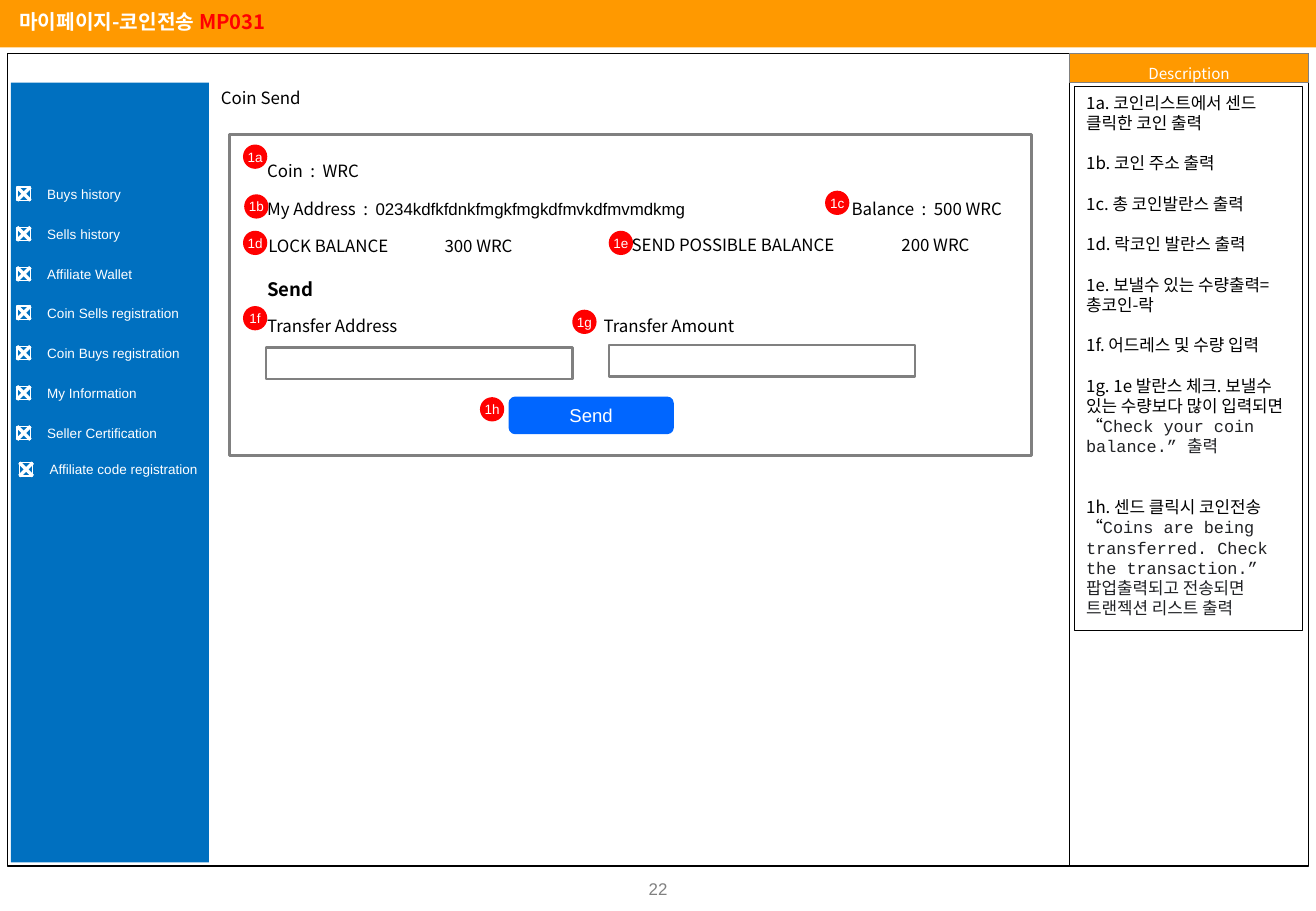
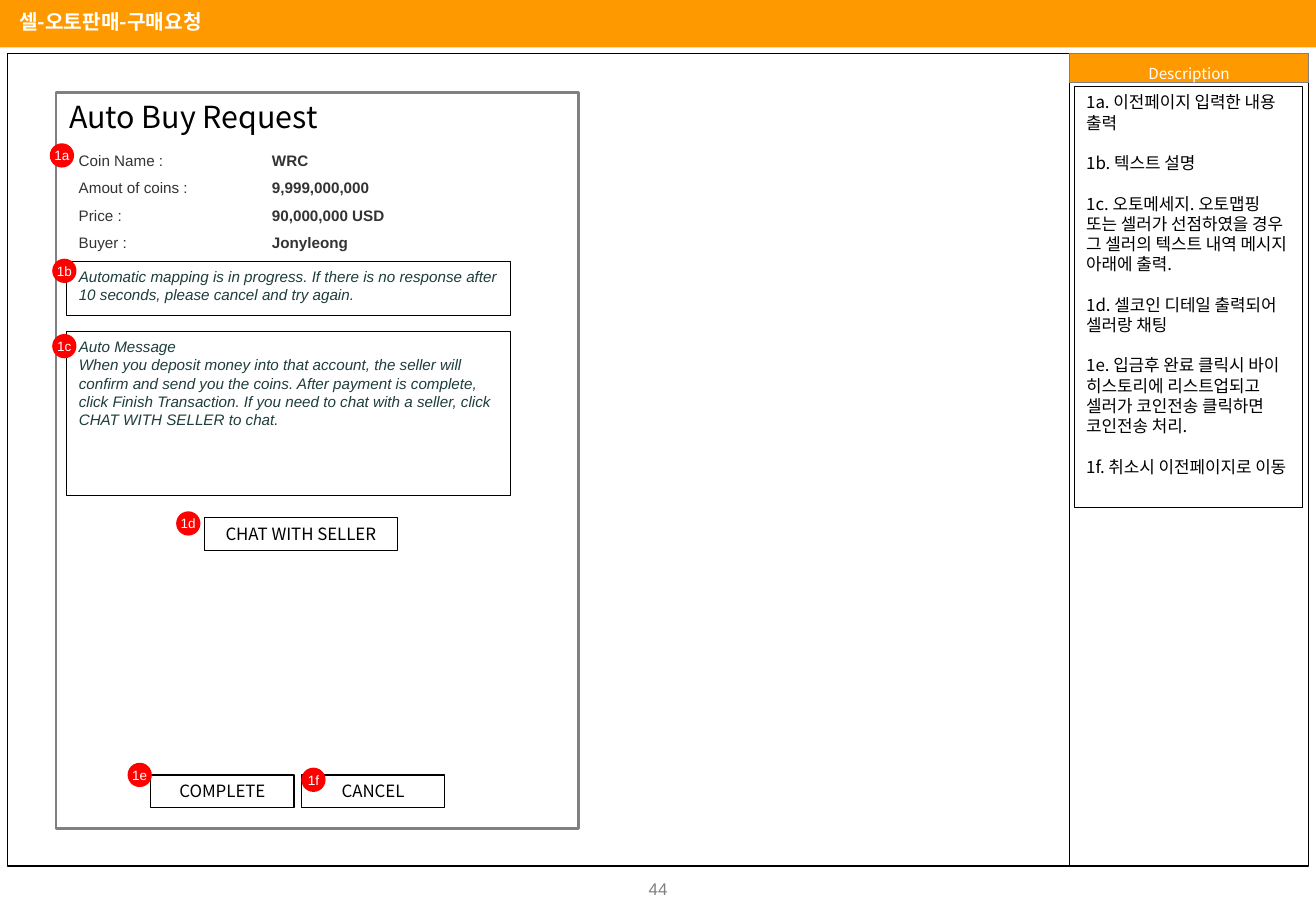
from collections import namedtuple

from lxml.etree import SubElement
from pptx import Presentation
from pptx.dml.color import RGBColor
from pptx.enum.shapes import MSO_CONNECTOR, MSO_SHAPE
from pptx.enum.text import MSO_ANCHOR, PP_ALIGN
from pptx.oxml.ns import qn
from pptx.util import Pt

PX = 9144  # EMU in one px, a hundredth of an inch
SLIDE_WIDTH, SLIDE_HEIGHT = 1083, 750

ORANGE = RGBColor(0xFF, 0x99, 0x00)
RED = RGBColor(0xFF, 0x00, 0x00)
MENU_BLUE = RGBColor(0x00, 0x70, 0xC0)
BUTTON_BLUE = RGBColor(0x00, 0x66, 0xFF)
WHITE = RGBColor(0xFF, 0xFF, 0xFF)
BLACK = RGBColor(0x00, 0x00, 0x00)
GRAY = RGBColor(0x80, 0x80, 0x80)
DARK_GRAY = RGBColor(0x33, 0x33, 0x33)
QUOTE_GRAY = RGBColor(0x20, 0x21, 0x24)
DARK_TEAL = RGBColor(0x1E, 0x3D, 0x3C)

KOREAN, SANS, MONO = "Noto Sans CJK KR", "Arial", "Courier New"
HAIRLINE, THIN, THICK = 0, 0.75, 1.5
LINE_HEIGHT = 1.2

Style = namedtuple("Style", "size font color bold italic", defaults=(10, KOREAN, BLACK, False, False))
BODY = Style()
TITLE = Style(12, color=WHITE, bold=True)
MENU = Style(8, SANS, WHITE)
DETAIL = Style(9, SANS, DARK_GRAY)
MESSAGE = Style(9, SANS, DARK_TEAL, italic=True)
QUOTE = Style(10, MONO, QUOTE_GRAY)


class Box(namedtuple("Box", "left top width height")):
    def inside(self, left, top, width, height):
        """Box placed relative to this one's top left corner."""
        return Box(self.left + left, self.top + top, width, height)

    def emu(self):
        return [length * PX for length in self]


def write(shape, paragraphs, style=BODY, align=PP_ALIGN.LEFT, spacing=1, gap=0,
          tab=None, anchor=MSO_ANCHOR.TOP, side_inset=10):
    """Fill a shape; a paragraph is a string or a list of (string, style) runs."""
    frame = shape.text_frame
    frame.word_wrap = True
    frame.vertical_anchor = anchor
    frame.margin_left = frame.margin_right = side_inset * PX
    frame.margin_top = frame.margin_bottom = 5 * PX
    for index, content in enumerate(paragraphs):
        paragraph = frame.add_paragraph() if index else frame.paragraphs[0]
        paragraph.alignment = align
        paragraph.line_spacing = Pt(round(style.size * LINE_HEIGHT * spacing, 1))
        if index and gap:
            paragraph.space_before = Pt(gap)
        if tab:
            tabs = SubElement(paragraph._p.get_or_add_pPr(), qn("a:tabLst"))
            SubElement(tabs, qn("a:tab"), pos=str(tab * PX), algn="l")
        runs = [(content, style)] if isinstance(content, str) else content
        for text, run_style in runs:
            run = paragraph.add_run()
            run.text = text
            font = run.font
            font.size, font.name = Pt(run_style.size), run_style.font
            font.bold, font.italic = run_style.bold, run_style.italic
            font.color.rgb = run_style.color
            SubElement(run._r.get_or_add_rPr(), qn("a:ea"), typeface=KOREAN)


def add_text(slide, box, *paragraphs, **options):
    write(slide.shapes.add_textbox(*box.emu()), paragraphs, **options)


def add_box(slide, box, fill=None, line=None, width=HAIRLINE, kind=MSO_SHAPE.RECTANGLE):
    shape = slide.shapes.add_shape(kind, *box.emu())
    shape.shadow.inherit = False
    if fill is None:
        shape.fill.background()
    else:
        shape.fill.solid()
        shape.fill.fore_color.rgb = fill
    if line is None:
        shape.line.fill.background()
    else:
        shape.line.color.rgb = line
        shape.line.width = Pt(width)
    return shape


def add_line(slide, *ends, color):
    line = slide.shapes.add_connector(MSO_CONNECTOR.STRAIGHT, *(end * PX for end in ends))
    line.line.color.rgb = color
    line.line.width = Pt(HAIRLINE)
    SubElement(line._element.spPr, qn("a:effectLst"))


def add_badges(slide, panel, places):
    for label, (left, top) in places.items():
        badge = add_box(slide, panel.inside(left, top, 20, 20), RED, kind=MSO_SHAPE.OVAL)
        write(badge, [label], MENU, PP_ALIGN.CENTER, anchor=MSO_ANCHOR.MIDDLE, side_inset=0)


def add_page_frame(slide, title_runs, number):
    """Title band, content and description frames, and page number."""
    add_box(slide, Box(0, 0, SLIDE_WIDTH, 39), ORANGE)
    add_box(slide, Box(6, 44, 874, 669), line=BLACK)
    add_box(slide, Box(880, 44, 197, 669), line=BLACK)
    header = add_box(slide, Box(880, 44, 197, 24), ORANGE, GRAY)
    write(header, ["Description"], Style(9, color=WHITE), PP_ALIGN.CENTER, spacing=1.3)
    add_text(slide, Box(6, 3, 365, 30), title_runs, style=TITLE)
    add_text(slide, Box(514, 718, 55, 27), number, style=Style(10, SANS, GRAY),
             align=PP_ALIGN.CENTER, anchor=MSO_ANCHOR.MIDDLE)


def add_description(slide, box, notes):
    write(add_box(slide, box, line=BLACK, width=THIN), notes, gap=12)


def add_menu_item(slide, left, top, label):
    right, bottom = left + 11, top + 11
    add_box(slide, Box(left, top, 11, 11), line=WHITE)
    add_line(slide, left, top, right, bottom, color=WHITE)
    add_line(slide, left, bottom, right, top, color=WHITE)
    add_text(slide, Box(left + 15, top - 6, 149, 24), label, style=MENU)


def add_menu(slide, box):
    add_box(slide, box, MENU_BLUE)
    labels = ["Buys history", "Sells history", "Affiliate Wallet", "Coin Sells registration",
              "Coin Buys registration", "My Information", "Seller Certification"]
    for index, label in enumerate(labels):
        add_menu_item(slide, box.left + 5, box.top + 86 + round(index * 197 / 6), label)
    add_menu_item(slide, box.left + 7, box.top + 313, "Affiliate code registration")


def add_send_form(slide, panel):
    add_box(slide, panel, WHITE, GRAY, THICK)
    for left, top, width, text in [
        (21, 16, 150, "Coin  :  WRC"),
        (21, 48, 392, [("My Address  :  ", BODY),
                       ("0234kdfkfdnkfmgkfmgkdfmvkdfmvmdkmg", Style(font=SANS))]),
        (502, 48, 158, "Balance  :  500 WRC"),
        (21, 115, 103, [("Send", Style(11, bold=True))]),
        (21, 144, 150, "Transfer Address"),
        (298, 144, 150, "Transfer Amount"),
    ]:
        add_text(slide, panel.inside(left, top, width, 27), text)
    for left, top, tab, text in [
        (22, 78, 145, "LOCK BALANCE\t300 WRC"),
        (321, 77, 222, "SEND POSSIBLE BALANCE\t200 WRC"),
    ]:
        add_text(slide, panel.inside(left, top, 331, 27), text, tab=tab)
    for left, top in [(30, 175), (312, 173)]:
        add_box(slide, panel.inside(left, top, 252, 26), WHITE, GRAY, THICK)
    button = add_box(slide, panel.inside(230, 216, 135, 30), BUTTON_BLUE, BUTTON_BLUE,
                     kind=MSO_SHAPE.ROUNDED_RECTANGLE)
    write(button, ["Send"], Style(11, SANS, WHITE), PP_ALIGN.CENTER,
          anchor=MSO_ANCHOR.MIDDLE, side_inset=0)
    add_badges(slide, panel, {
        "1a": (11, 8), "1b": (12, 49), "1c": (490, 46), "1d": (11, 79),
        "1e": (312, 79), "1f": (11, 141), "1g": (282, 144), "1h": (206, 216)})


def add_request_form(slide, panel):
    add_box(slide, panel, WHITE, GRAY, THICK)
    add_text(slide, panel.inside(1, 0, 420, 40), "Auto Buy Request", style=Style(18))
    details = {"Coin Name :": "WRC", "Amout of coins :": "9,999,000,000",
               "Price :": "90,000,000 USD", "Buyer :": "Jonyleong"}
    rows = [[(label + "\t", DETAIL), (value, DETAIL._replace(bold=True))]
            for label, value in details.items()]
    add_text(slide, panel.inside(9, 36, 420, 98), *rows, style=DETAIL, spacing=1.5, tab=159)
    for top, height, message in [
        (139, 45, ["Automatic mapping is in progress. If there is no response after "
                   "10 seconds, please cancel and try again."]),
        (197, 135, ["Auto Message",
                    "When you deposit money into that account, the seller will confirm and "
                    "send you the coins. After payment is complete, click Finish Transaction. "
                    "If you need to chat with a seller, click CHAT WITH SELLER to chat."]),
    ]:
        write(add_box(slide, panel.inside(9, top, 365, height), line=BLACK), message, MESSAGE)
    for left, top, width, label in [
        (122, 350, 159, "CHAT WITH SELLER"),
        (78, 562, 118, "COMPLETE"),
        (202, 562, 118, "CANCEL"),
    ]:
        button = add_box(slide, panel.inside(left, top, width, 27), line=BLACK, width=THIN)
        write(button, [label], align=PP_ALIGN.CENTER)
    add_badges(slide, panel, {
        "1a": (-5, 42), "1b": (-3, 137), "1c": (-3, 199),
        "1d": (99, 345), "1e": (59, 552), "1f": (202, 556)})


def build_coin_send(slide):
    add_page_frame(slide, [("마이페이지-코인전송 ", TITLE), ("MP031", TITLE._replace(color=RED))], "22")
    add_menu(slide, Box(9, 68, 163, 642))
    add_text(slide, Box(172, 67, 148, 27), "Coin Send")
    notes = Box(884, 71, 188, 448)
    add_description(slide, notes, [
        "1a. 코인리스트에서 센드 클릭한 코인 출력",
        "1b. 코인 주소 출력",
        "1c. 총 코인발란스 출력",
        "1d. 락코인 발란스 출력",
        "1e. 보낼수 있는 수량출력=총코인-락",
        "1f. 어드레스 및 수량 입력",
        [("1g. 1e 발란스 체크. 보낼수 있는 수량보다 많이 입력되면 “", BODY),
         ("Check your coin balance.” 출력", QUOTE)],
        [("1h. 센드 클릭시 코인전송 “", BODY),
         ("Coins are being transferred. Check the transaction.” "
          "팝업출력되고 전송되면 트랜젝션 리스트 출력", QUOTE)],
    ])
    slide.shapes[-1].text_frame.paragraphs[-1].space_before = Pt(24)
    add_send_form(slide, Box(189, 111, 660, 264))


def build_buy_request(slide):
    add_page_frame(slide, "셀-오토판매-구매요청", "44")
    add_request_form(slide, Box(46, 76, 430, 606))
    add_description(slide, Box(884, 71, 188, 347), [
        "1a. 이전페이지 입력한 내용 출력",
        "1b. 텍스트 설명",
        "1c. 오토메세지. 오토맵핑 또는 셀러가 선점하였을 경우 그 셀러의 텍스트 내역 메시지 아래에 출력.",
        "1d. 셀코인 디테일 출력되어 셀러랑 채팅",
        "1e. 입금후 완료 클릭시 바이 히스토리에 리스트업되고 셀러가 코인전송 클릭하면 코인전송 처리.",
        "1f. 취소시 이전페이지로 이동",
    ])


def main():
    presentation = Presentation()
    presentation.slide_width = SLIDE_WIDTH * PX
    presentation.slide_height = SLIDE_HEIGHT * PX
    for build in (build_coin_send, build_buy_request):
        build(presentation.slides.add_slide(presentation.slide_layouts[6]))
    presentation.save("out.pptx")


if __name__ == "__main__":
    main()
